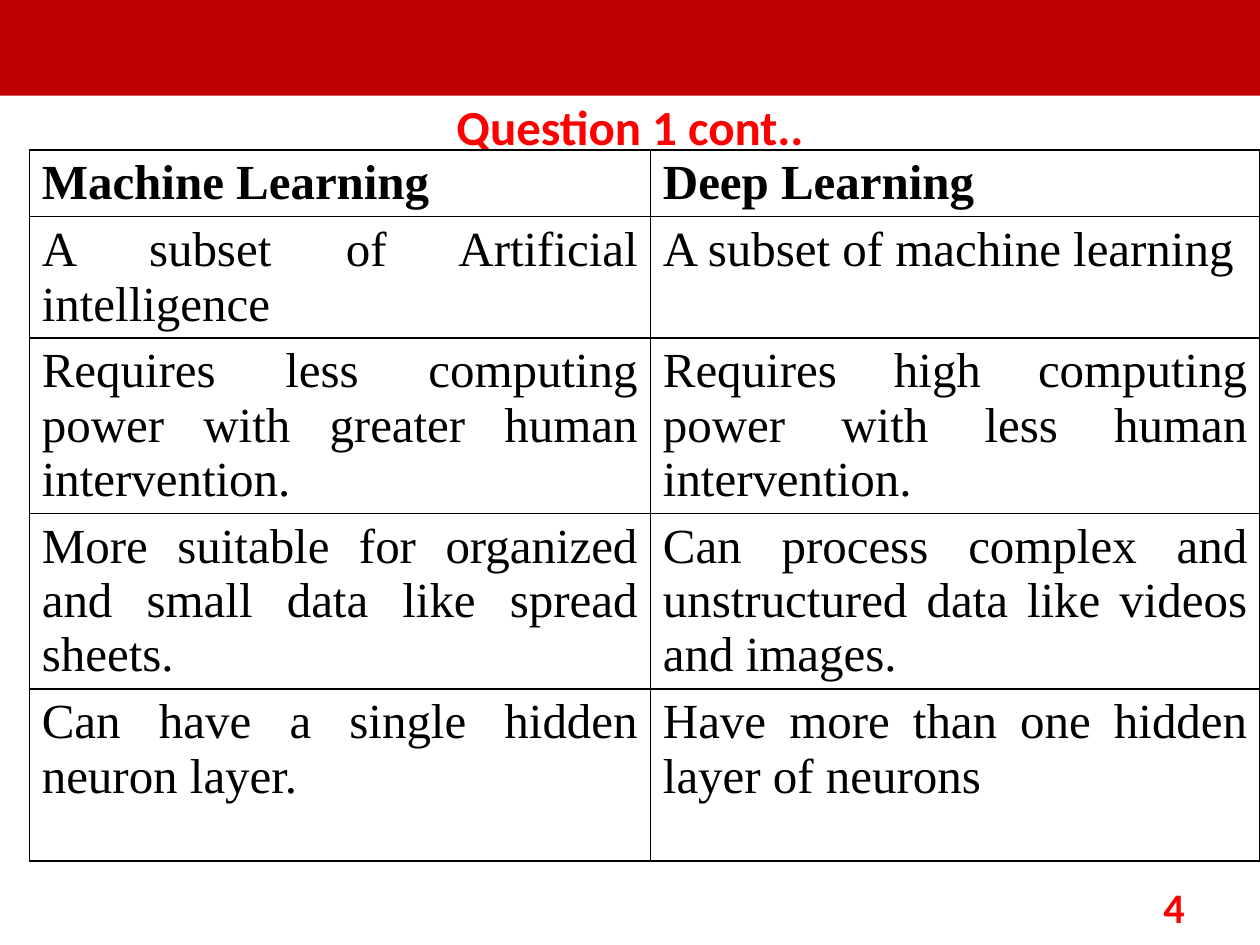
from lxml import etree
from pptx import Presentation
from pptx import util as u
from pptx.dml import color
from pptx.enum import shapes, text
from pptx.oxml import ns

TITLE = "Question 1 cont.."
PAGE_NUMBER = "4"
COMPARISON = [
    ("Machine Learning", "Deep Learning"),
    ("A subset of Artificial intelligence", "A subset of machine learning"),
    ("Requires less computing power with greater human intervention.",
     "Requires high computing power with less human intervention."),
    ("More suitable for organized and small data like spread sheets.",
     "Can process complex and unstructured data like videos and images."),
    ("Can have a single hidden neuron layer.",
     "Have more than one hidden layer of neurons"),
]
COLUMN_WIDTHS = (12.52, 12.29)
ROW_HEIGHTS = (1.34, 2.44, 3.53, 3.53, 3.47)
LINE_SPACING = u.Pt(31)
COLORS = {"banner": "C00000", "accent": "FF0000", "ink": "000000", "paper": "FFFFFF"}
FORMATS = {
    "title": {"name": "Calibri", "size": u.Pt(28), "bold": True},
    "number": {"name": "Calibri", "size": u.Pt(24), "bold": True},
    "header": {"name": "Times New Roman", "size": u.Pt(28), "bold": True},
    "body": {"name": "Times New Roman", "size": u.Pt(28), "bold": False},
}


def rgb(name):
    return color.RGBColor.from_string(COLORS[name])


def write(frame, words, style, ink, alignment, spacing=None):
    frame.word_wrap = True
    paragraph = frame.paragraphs[0]
    paragraph.alignment = alignment
    paragraph.line_spacing = spacing
    run = paragraph.add_run()
    run.text = words
    for attribute, value in FORMATS[style].items():
        setattr(run.font, attribute, value)
    run.font.color.rgb = rgb(ink)


def add_borders(cell):
    properties = cell._tc.get_or_add_tcPr()
    for index, side in enumerate(("lnL", "lnR", "lnT", "lnB")):
        line = etree.Element(ns.qn("a:" + side), w=str(u.Pt(1)))
        fill = etree.SubElement(line, ns.qn("a:solidFill"))
        etree.SubElement(fill, ns.qn("a:srgbClr"), val=COLORS["ink"])
        properties.insert(index, line)


presentation = Presentation()
presentation.slide_width, presentation.slide_height = u.Cm(25.4), u.Cm(19.05)
slide = presentation.slides.add_slide(presentation.slide_layouts[5])

banner = slide.shapes.add_shape(
    shapes.MSO_SHAPE.RECTANGLE, 0, 0, presentation.slide_width, u.Cm(1.93))
banner.shadow.inherit = False
banner.fill.solid()
banner.fill.fore_color.rgb = rgb("banner")
banner.line.fill.background()

title = slide.shapes.title
title.left, title.top, title.width, title.height = map(u.Cm, (1.9, 1.68, 21.6, 1.7))
title.text_frame.vertical_anchor = text.MSO_ANCHOR.MIDDLE
write(title.text_frame, TITLE, "title", "accent", text.PP_ALIGN.CENTER)

number = slide.shapes.add_textbox(*map(u.Cm, (18.2, 17.65, 5.93, 1.02)))
write(number.text_frame, PAGE_NUMBER, "number", "accent", text.PP_ALIGN.RIGHT)

table = slide.shapes.add_table(
    len(COMPARISON), len(COLUMN_WIDTHS), u.Cm(0.59), u.Cm(3.02),
    u.Cm(sum(COLUMN_WIDTHS)), u.Cm(sum(ROW_HEIGHTS))).table
table.first_row = table.horz_banding = False
for column, width in zip(table.columns, COLUMN_WIDTHS):
    column.width = u.Cm(width)
for row, height, entries in zip(table.rows, ROW_HEIGHTS, COMPARISON):
    row.height = u.Cm(height)
    style = "header" if entries is COMPARISON[0] else "body"
    for cell, words in zip(row.cells, entries):
        cell.fill.solid()
        cell.fill.fore_color.rgb = rgb("paper")
        add_borders(cell)
        write(cell.text_frame, words, style, "ink", text.PP_ALIGN.JUSTIFY, LINE_SPACING)

presentation.save("out.pptx")
